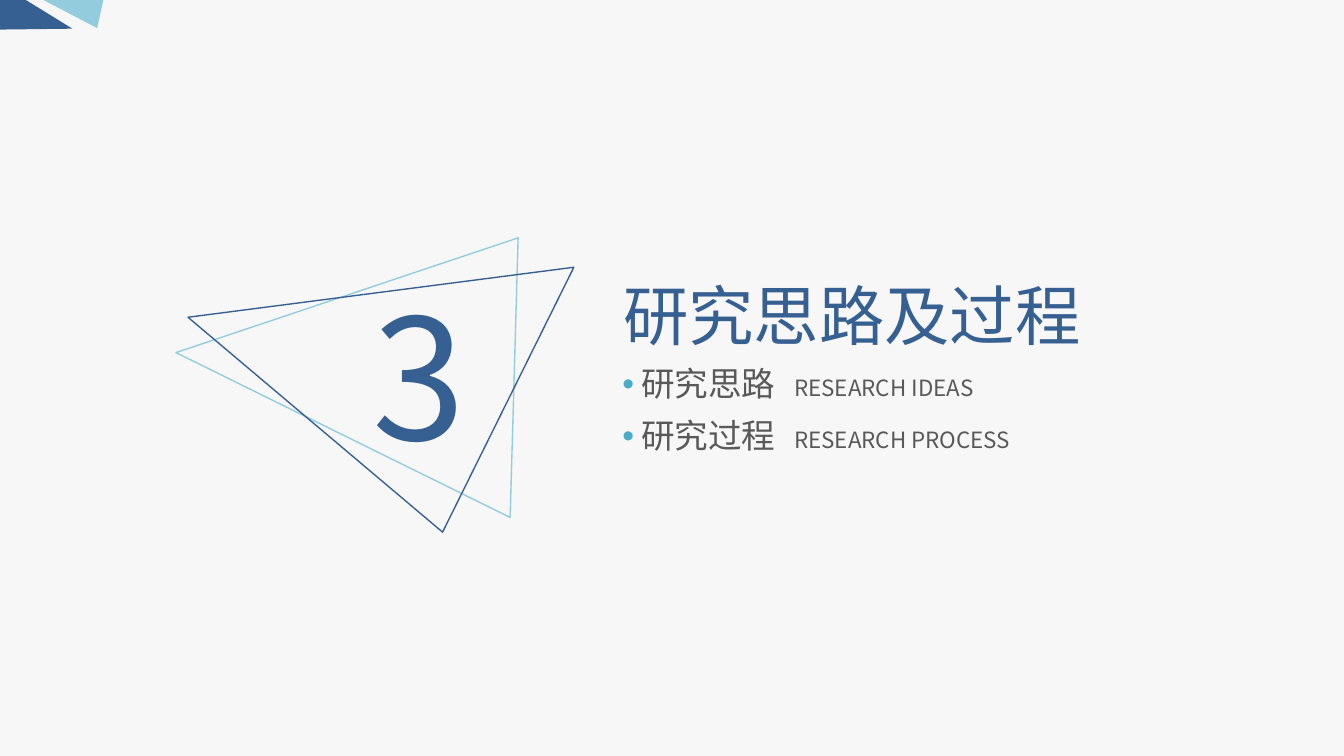
from dataclasses import dataclass

from lxml.etree import SubElement
from pptx import Presentation
from pptx.dml.color import RGBColor
from pptx.enum.text import MSO_ANCHOR, MSO_AUTO_SIZE, PP_ALIGN
from pptx.oxml.ns import qn
from pptx.util import Inches, Pt


@dataclass(frozen=True)
class Theme:
    font: str = "Noto Sans CJK SC"
    back: str = "F7F7F7"
    navy: str = "376092"
    sky: str = "93CDDD"
    dot: str = "4BACC6"
    grey: str = "595959"
    huge: float = 90
    head: float = 35
    item: float = 18
    note: float = 12
    line: float = 0.75


THEME = Theme()
WIDTH = Inches(10)
HEIGHT = WIDTH * 9 // 16
COL = WIDTH / 100
ROW = HEIGHT / 56.25


def cells(left, top, wide, high):
    """Turn columns and rows of the slide grid into a box."""
    return left * COL, top * ROW, wide * COL, high * ROW


def part(box, left, top, wide, high):
    """Take a share of a box."""
    x, y, w, h = box
    return x + left * w, y + top * h, wide * w, high * h


def place(shape, box):
    for name, value in zip(("left", "top", "width", "height"), box):
        setattr(shape, name, round(value))


def frame(shape, **extra):
    """Clear the text insets and return the text frame."""
    text = shape.text_frame
    form = {"margin_left": 0, "margin_top": 0, "margin_right": 0,
            "margin_bottom": 0, "auto_size": MSO_AUTO_SIZE.NONE,
            "word_wrap": False, **extra}
    for name, value in form.items():
        setattr(text, name, value)
    return text


def write(para, words, size, color):
    run = para.add_run()
    run.text = words
    for name, value in {"name": THEME.font, "size": Pt(size), "bold": False}.items():
        setattr(run.font, name, value)
    run.font.color.rgb = RGBColor.from_string(color)
    SubElement(run.font._element, qn("a:ea"), typeface=THEME.font)


def outline(slide, box, points, fill=None, line=None):
    x, y, w, h = box
    spots = [(round(x + a * w), round(y + b * h)) for a, b in points]
    pen = slide.shapes.build_freeform(*spots[0])
    pen.add_line_segments(spots[1:], close=True)
    shape = pen.convert_to_shape()
    shape.shadow.inherit = False
    if fill:
        shape.fill.solid()
        shape.fill.fore_color.rgb = RGBColor.from_string(fill)
    else:
        shape.fill.background()
    if line:
        shape.line.color.rgb = RGBColor.from_string(line)
        shape.line.width = Pt(THEME.line)
    else:
        shape.line.fill.background()


def corner(slide, box):
    outline(slide, box, [(0.42, 0), (0.94, 0.95), (1, 0)], fill=THEME.sky)
    outline(slide, box, [(0.7, 0.97), (0.25, 0), (0, 0), (0, 1)], fill=THEME.navy)


def emblem(slide, box, number):
    outline(slide, box, [(0.86, 0), (0, 0.39), (0.84, 0.95)], line=THEME.sky)
    outline(slide, box, [(0.03, 0.27), (1, 0.1), (0.67, 1)], line=THEME.navy)
    spot = part(box, 0.45, 0.09, 0.32, 0.74)
    label = slide.shapes.add_textbox(*map(round, spot))
    para = frame(label, vertical_anchor=MSO_ANCHOR.MIDDLE).paragraphs[0]
    para.alignment = PP_ALIGN.CENTER
    write(para, number, THEME.huge, THEME.navy)


def bullet(para, indent, stop):
    """Give a paragraph a coloured dot and one tab stop."""
    props = para._p.get_or_add_pPr()
    props.set("marL", str(indent))
    props.set("indent", str(-indent))
    tint = SubElement(props, qn("a:buClr"))
    SubElement(tint, qn("a:srgbClr"), val=THEME.dot)
    SubElement(props, qn("a:buFont"), typeface="Arial")
    SubElement(props, qn("a:buChar"), char="•")
    tabs = SubElement(props, qn("a:tabLst"))
    SubElement(tabs, qn("a:tab"), pos=str(stop), algn="l")


def heading(slide, box, title, items):
    head = slide.shapes.title
    place(head, part(box, 0, 0, 1, 0.45))
    para = frame(head, vertical_anchor=MSO_ANCHOR.MIDDLE).paragraphs[0]
    para.alignment = PP_ALIGN.CENTER
    write(para, title, THEME.head, THEME.navy)

    body = slide.placeholders[1]
    place(body, part(box, 0, 0.46, 1, 0.54))
    text = frame(body, vertical_anchor=MSO_ANCHOR.TOP, word_wrap=True)
    for row, (name, note) in enumerate(items):
        para = text.add_paragraph() if row else text.paragraphs[0]
        para.space_before = Pt(6.3 if row else 0)
        bullet(para, Inches(0.14), Inches(1.28))
        write(para, name, THEME.item, THEME.grey)
        write(para, "\t" + note, THEME.note, THEME.grey)


def main():
    deck = Presentation()
    deck.slide_width, deck.slide_height = WIDTH, HEIGHT
    slide = deck.slides.add_slide(deck.slide_layouts[1])
    slide.background.fill.solid()
    slide.background.fill.fore_color.rgb = RGBColor.from_string(THEME.back)
    heading(slide, cells(46.3, 19.9, 34.2, 15.5), "研究思路及过程",
            [("研究思路", "RESEARCH IDEAS"), ("研究过程", "RESEARCH PROCESS")])
    emblem(slide, cells(13.1, 17.7, 29.6, 21.9), "3")
    corner(slide, cells(0, 0, 7.7, 2.2))
    deck.save("out.pptx")


if __name__ == "__main__":
    main()
